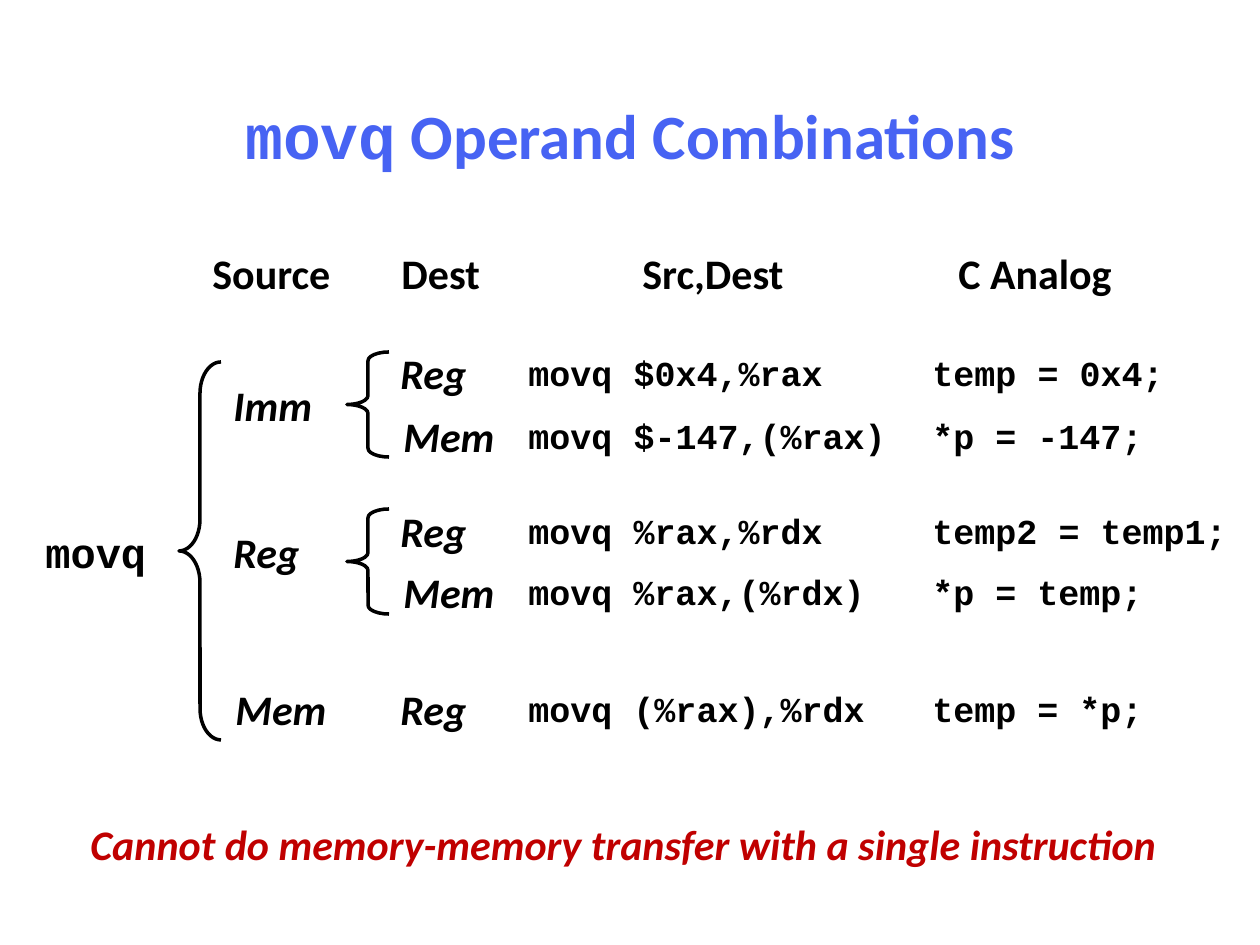
from pptx import Presentation
from pptx.dml.color import RGBColor
from pptx.enum.shapes import MSO_SHAPE as Shape
from pptx.enum.text import MSO_ANCHOR as Anchor, MSO_AUTO_SIZE as AutoSize, PP_ALIGN as Align
from pptx.util import Emu, Pt

SCALE = 914400 / 126  # EMU in one px
COLORS = {"title": "4763F3", "text": "000000", "warning": "C00000"}
SANS, MONO = "Calibri", "Courier New"
HEADING = {"name": SANS, "size": Pt(24), "bold": True}
OPERAND = {**HEADING, "italic": True}
MNEMONIC = {**HEADING, "name": MONO}
CODE = {**MNEMONIC, "size": Pt(20)}
WORD_WIDTHS = {"Imm": 106, "Reg": 93, "Mem": 118}


def add_span(para, text, look, color="text"):
    span = para.add_run()
    span.text = text
    for name, value in look.items():
        setattr(span.font, name, value)
    span.font.color.rgb = RGBColor.from_string(COLORS[color])


def add_label(text, left, top, width, height, look):
    """Add a one-line text box that does not wrap."""
    box = page.shapes.add_textbox(*[Emu(round(v * SCALE)) for v in (left, top, width, height)])
    box.text_frame.word_wrap = False
    box.text_frame.auto_size = AutoSize.SHAPE_TO_FIT_TEXT
    add_span(box.text_frame.paragraphs[0], text, look)


deck = Presentation()
deck.slide_width = Emu(round(1260 * SCALE))
deck.slide_height = Emu(round(945 * SCALE))
page = deck.slides.add_slide(deck.slide_layouts[5])

# Title
title = page.shapes.title
for side, px in {"left": 136, "top": 94, "width": 988, "height": 80}.items():
    setattr(title, side, Emu(round(px * SCALE)))
title.text_frame.vertical_anchor = Anchor.MIDDLE
title.text_frame.auto_size = AutoSize.NONE
heading = title.text_frame.paragraphs[0]
heading.alignment = Align.CENTER
for text, font in (("movq", MONO), (" Operand Combinations", SANS)):
    add_span(heading, text, {"name": font, "size": Pt(36), "bold": True}, "title")

# Column headings
for text, left, width in (
    ("Source", 200, 146),
    ("Dest", 389, 106),
    ("Src,Dest", 630, 170),
    ("C Analog", 946, 181),
):
    add_label(text, left, 241, width, 63, HEADING)

# Instruction and source operands
add_label("movq", 33, 520, 128, 63, MNEMONIC)
for text, left, top in (("Imm", 221, 373), ("Reg", 221, 520), ("Mem", 223, 677)):
    add_label(text, left, top, WORD_WIDTHS[text], 63, OPERAND)

# Destination, instruction and C equivalent of each combination
for dest, top, instruction, analog in (
    ("Reg", 341, "movq $0x4,%rax", "temp = 0x4;"),
    ("Mem", 404, "movq $-147,(%rax)", "*p = -147;"),
    ("Reg", 499, "movq %rax,%rdx", "temp2 = temp1;"),
    ("Mem", 560, "movq %rax,(%rdx)", "*p = temp;"),
    ("Reg", 677, "movq (%rax),%rdx", "temp = *p;"),
):
    dest_left = 391 if dest == "Mem" else 388
    add_label(dest, dest_left, top, WORD_WIDTHS[dest], 63, OPERAND)
    for code, left in ((instruction, 516), (analog, 920)):
        add_label(code, left, top + 4, 21 * len(code) + 29, 55, CODE)

# Braces
for left, top, height, curve in ((179, 362, 378, 0.75), (347, 352, 105, 0.21), (347, 509, 105, 0.21)):
    brace = page.shapes.add_shape(
        Shape.LEFT_BRACE, *[Emu(round(v * SCALE)) for v in (left, top, 42, height)]
    )
    brace.adjustments[0] = curve
    brace.shadow.inherit = False
    brace.fill.background()
    brace.line.color.rgb = RGBColor.from_string(COLORS["text"])
    brace.line.width = Pt(2)

# Closing remark
remark = page.shapes.add_textbox(*[Emu(round(v * SCALE)) for v in (63, 819, 1121, 73)])
frame = remark.text_frame
frame.word_wrap = True
for side in ("left", "top", "right", "bottom"):
    setattr(frame, f"margin_{side}", 0)
frame.paragraphs[0].alignment = Align.CENTER
add_span(
    frame.paragraphs[0],
    "Cannot do memory-memory transfer with a single instruction",
    OPERAND,
    "warning",
)

deck.save("out.pptx")
